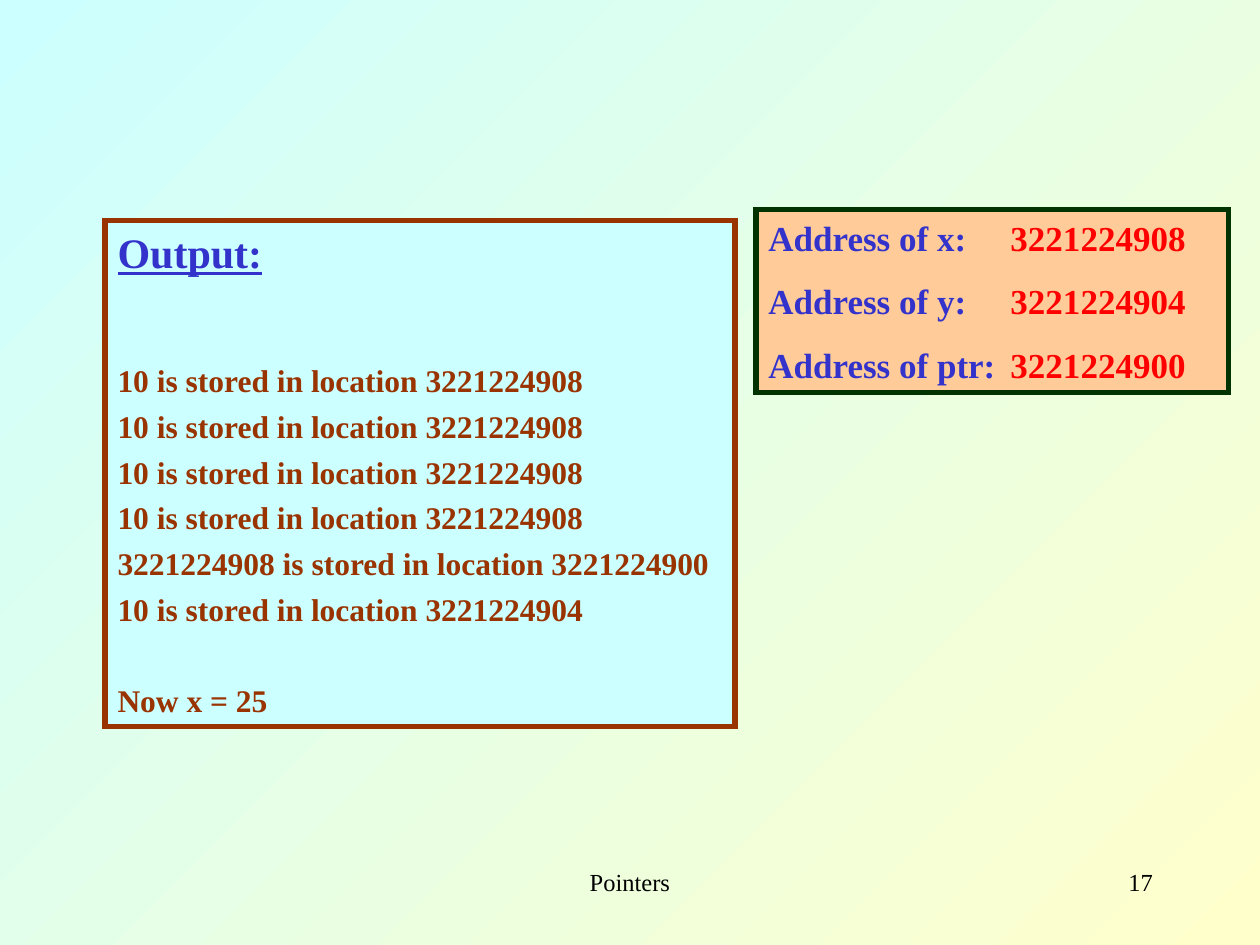
from lxml import etree
from pptx import Presentation
from pptx import util as u
from pptx.dml.color import RGBColor
from pptx.enum import shapes, text
from pptx.oxml.ns import qn

COLORS = {
    "sky": "CCFFFF",
    "cream": "FFFFCC",
    "brown": "993300",
    "peach": "FFCC99",
    "green": "003300",
    "blue": "3333CC",
    "red": "FF0000",
    "black": "000000",
}
FONT = "Times New Roman"
STORED = "{} is stored in location {}"
X, Y, PTR = "3221224908", "3221224904", "3221224900"


def rgb(name):
    return RGBColor.from_string(COLORS[name])


def set_background(s):
    fill = s.background.fill
    fill.gradient()
    fill.gradient_angle = 315
    for stop, name in zip(fill.gradient_stops, ("sky", "cream")):
        stop.color.rgb = rgb(name)


def set_font(p, size, color, bold=True):
    f = p.font
    f.name, f.size, f.bold = FONT, u.Pt(size), bold
    f.color.rgb = rgb(color)


def new_paragraph(tf):
    """Return the empty first paragraph, or add one below the others."""
    first = tf.paragraphs[0]
    return tf.add_paragraph() if first.runs else first


def add_box(s, left, top, width, height, fill, line):
    """Add a square-cornered bordered box and return its text frame."""
    sp = s.shapes.add_shape(shapes.MSO_SHAPE.RECTANGLE, u.Cm(left), u.Cm(top),
                            u.Cm(width), u.Cm(height))
    sp.shadow.inherit = False
    sp.fill.solid()
    sp.fill.fore_color.rgb = rgb(fill)
    sp.line.color.rgb = rgb(line)
    sp.line.width = u.Pt(3)
    etree.SubElement(sp.line._get_or_add_ln(), qn("a:miter"), lim="800000")
    tf = sp.text_frame
    tf.word_wrap = True
    tf.vertical_anchor = text.MSO_ANCHOR.TOP
    return tf


def add_line(tf, words, size, color, before=0):
    p = new_paragraph(tf)
    p.text = words
    p.alignment = text.PP_ALIGN.LEFT
    p.space_before = u.Pt(before)
    set_font(p, size, color)
    return p


def add_tab_stop(p, pos):
    tabs = etree.SubElement(p._p.get_or_add_pPr(), qn("a:tabLst"))
    etree.SubElement(tabs, qn("a:tab"), pos=str(u.Cm(pos)), algn="l")


def add_address(tf, label, address, before):
    p = new_paragraph(tf)
    p.alignment = text.PP_ALIGN.LEFT
    p.space_before = u.Pt(before)
    add_tab_stop(p, 4.88)
    set_font(p, 20, "blue")
    p.add_run().text = f"Address of {label}:\t"
    r = p.add_run()
    r.text = address
    r.font.color.rgb = rgb("red")


def add_footer(s, words, left, width, align):
    sp = s.shapes.add_textbox(u.Cm(left), u.Cm(17.35), u.Cm(width), u.Cm(1.27))
    tf = sp.text_frame
    tf.word_wrap = True
    p = tf.paragraphs[0]
    p.text = words
    p.alignment = align
    set_font(p, 14, "black", bold=False)


def main():
    prs = Presentation()
    prs.slide_width, prs.slide_height = u.Cm(25.4), u.Cm(19.05)
    s = prs.slides.add_slide(prs.slide_layouts[6])
    set_background(s)

    add_footer(s, "Pointers", 8.68, 8.04, text.PP_ALIGN.CENTER)
    add_footer(s, "17", 18.2, 5.29, text.PP_ALIGN.RIGHT)

    output = add_box(s, 2.12, 4.45, 12.7, 10.19, "sky", "brown")
    add_line(output, "Output:", 24, "blue").font.underline = True
    stored = [(10, X)] * 4 + [(X, PTR), (10, Y)]
    for i, (value, place) in enumerate(stored):
        add_line(output, STORED.format(value, place), 18, "brown",
                 before=4.5 if i else 48)
    add_line(output, "Now x = 25", 18, "brown", before=30.5)

    addresses = add_box(s, 15.24, 4.23, 9.53, 3.68, "peach", "green")
    for i, (label, address) in enumerate([("x", X), ("y", Y), ("ptr", PTR)]):
        add_address(addresses, label, address, before=12.5 if i else 0)

    prs.save("out.pptx")


if __name__ == "__main__":
    main()
